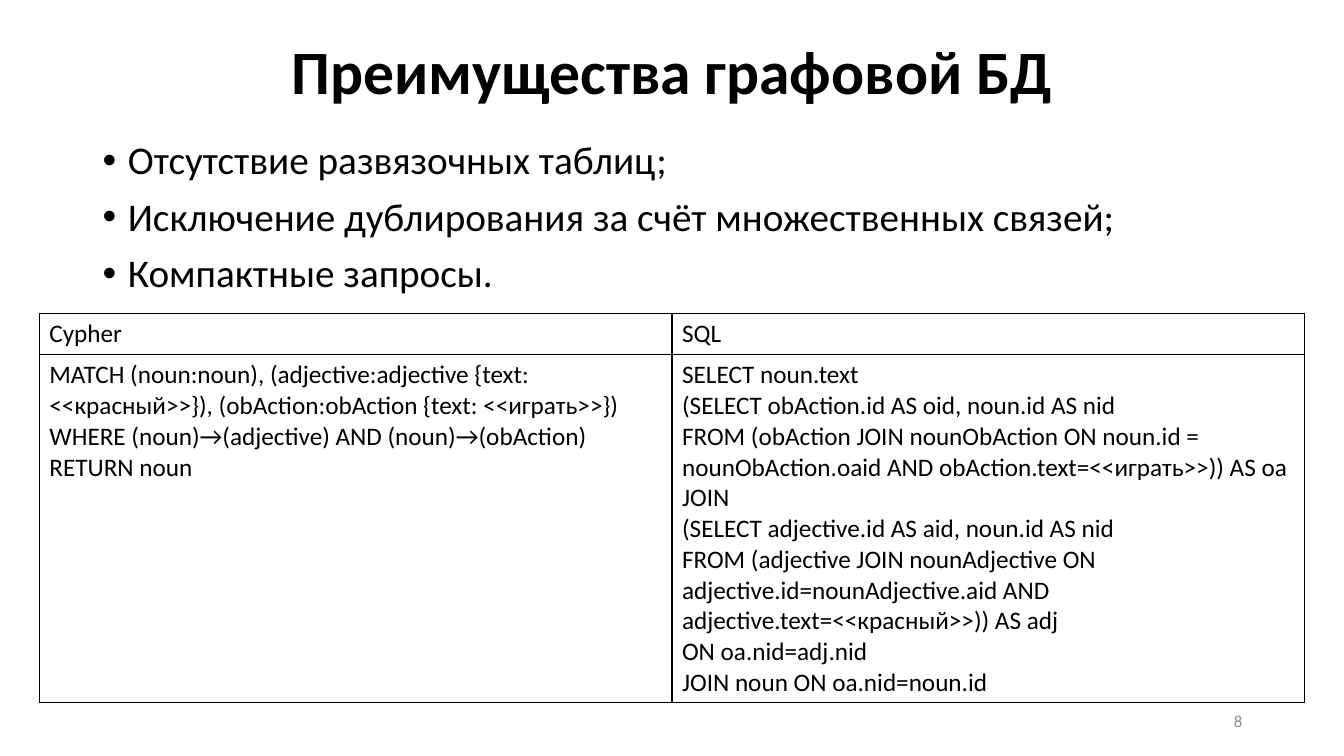
"""Build a slide on the advantages of a graph database."""
from lxml import etree
from pptx import Presentation
from pptx.dml.color import RGBColor
from pptx.enum.text import MSO_ANCHOR, PP_ALIGN
from pptx.oxml.ns import qn
from pptx.util import Inches, Pt

MIDDLE, TOP = MSO_ANCHOR.MIDDLE, MSO_ANCHOR.TOP
CENTER, LEFT, RIGHT = PP_ALIGN.CENTER, PP_ALIGN.LEFT, PP_ALIGN.RIGHT

COLORS = {"ink": "000000", "muted": "8C8C8C", "paper": "FFFFFF"}
FONT = "Calibri"
BULLET_INDENT = 0.25

TITLE = ["Преимущества графовой БД"]
ADVANTAGES = [
    "Отсутствие развязочных таблиц;",
    "Исключение дублирования за счёт множественных связей;",
    "Компактные запросы.",
]
PAGE_NUMBER = ["8"]
CYPHER_QUERY = [
    "MATCH (noun:noun), (adjective:adjective {text: <<красный>>}), "
    "(obAction:obAction {text: <<играть>>})",
    "WHERE (noun)→(adjective) AND (noun)→(obAction) RETURN noun",
]
SQL_QUERY = [
    "SELECT noun.text",
    "(SELECT obAction.id AS oid, noun.id AS nid",
    "FROM (obAction JOIN nounObAction ON noun.id = nounObAction.oaid "
    "AND obAction.text=<<играть>>)) AS oa",
    "JOIN",
    "(SELECT adjective.id AS aid, noun.id AS nid",
    "FROM (adjective JOIN nounAdjective ON adjective.id=nounAdjective.aid "
    "AND adjective.text=<<красный>>)) AS adj",
    "ON oa.nid=adj.nid",
    "JOIN noun ON oa.nid=noun.id",
]
QUERIES = [[["Cypher"], ["SQL"]], [CYPHER_QUERY, SQL_QUERY]]
TABLE_PLACE = (0.39, 3.11, 12.55, 3.86)
ROW_HEIGHTS = [0.41, 3.45]

TITLE_FORMAT = {"size": Pt(44), "bold": True}
BODY_FORMAT = {"size": Pt(28)}
NUMBER_FORMAT = {"size": Pt(12)}
CELL_FORMAT = {"size": Pt(18), "bold": False}
TITLE_LAYOUT = {"alignment": CENTER, "line_spacing": 0.9}
BODY_LAYOUT = {"alignment": LEFT, "line_spacing": 0.9, "space_before": Pt(10)}

TEXT_BOXES = [
    ((0.92, 0.01, 11.5, 1.45), TITLE, MIDDLE, TITLE_FORMAT, TITLE_LAYOUT, "ink", False),
    ((9.42, 6.95, 3, 0.4), PAGE_NUMBER, MIDDLE, NUMBER_FORMAT, {"alignment": RIGHT}, "muted", False),
    ((0.92, 1.35, 11.5, 4.76), ADVANTAGES, TOP, BODY_FORMAT, BODY_LAYOUT, "ink", True),
]


def set_values(target, values):
    for name, value in values.items():
        setattr(target, name, value)


def add_bullet(para):
    properties = para._p.get_or_add_pPr()
    properties.set("marL", str(Inches(BULLET_INDENT)))
    properties.set("indent", str(-Inches(BULLET_INDENT)))
    etree.SubElement(properties, qn("a:buFont"), typeface="Arial")
    etree.SubElement(properties, qn("a:buChar"), char="•")


def write_text(frame, lines, font_format, layout, color, bulleted=False):
    frame.word_wrap = True
    for index, line in enumerate(lines):
        para = frame.add_paragraph() if index else frame.paragraphs[0]
        set_values(para, layout)
        if bulleted:
            add_bullet(para)
        span = para.add_run()
        span.text = line
        set_values(span.font, {"name": FONT, **font_format})
        span.font.color.rgb = RGBColor.from_string(COLORS[color])


def add_text_box(page, place, lines, anchor, font_format, layout, color, bulleted):
    box = page.shapes.add_textbox(*map(Inches, place))
    box.text_frame.vertical_anchor = anchor
    write_text(box.text_frame, lines, font_format, layout, color, bulleted)


def add_borders(cell):
    properties = cell._tc.get_or_add_tcPr()
    for index, side in enumerate(("lnL", "lnR", "lnT", "lnB")):
        line = etree.Element(qn(f"a:{side}"), w=str(Pt(1)))
        fill = etree.SubElement(line, qn("a:solidFill"))
        etree.SubElement(fill, qn("a:srgbClr"), val=COLORS["ink"])
        properties.insert(index, line)


def add_query_table(page):
    rows, columns = len(QUERIES), len(QUERIES[0])
    table = page.shapes.add_table(rows, columns, *map(Inches, TABLE_PLACE)).table
    set_values(table, {"first_row": False, "horz_banding": False})
    for row, height, entries in zip(table.rows, ROW_HEIGHTS, QUERIES):
        row.height = Inches(height)
        for cell, lines in zip(row.cells, entries):
            cell.fill.solid()
            cell.fill.fore_color.rgb = RGBColor.from_string(COLORS["paper"])
            add_borders(cell)
            write_text(cell.text_frame, lines, CELL_FORMAT, {"alignment": LEFT}, "ink")


def main():
    deck = Presentation()
    set_values(deck, {"slide_width": Inches(13.33), "slide_height": Inches(7.5)})
    page = deck.slides.add_slide(deck.slide_layouts[6])
    for text_box in TEXT_BOXES:
        add_text_box(page, *text_box)
    add_query_table(page)
    deck.save("out.pptx")


if __name__ == "__main__":
    main()
